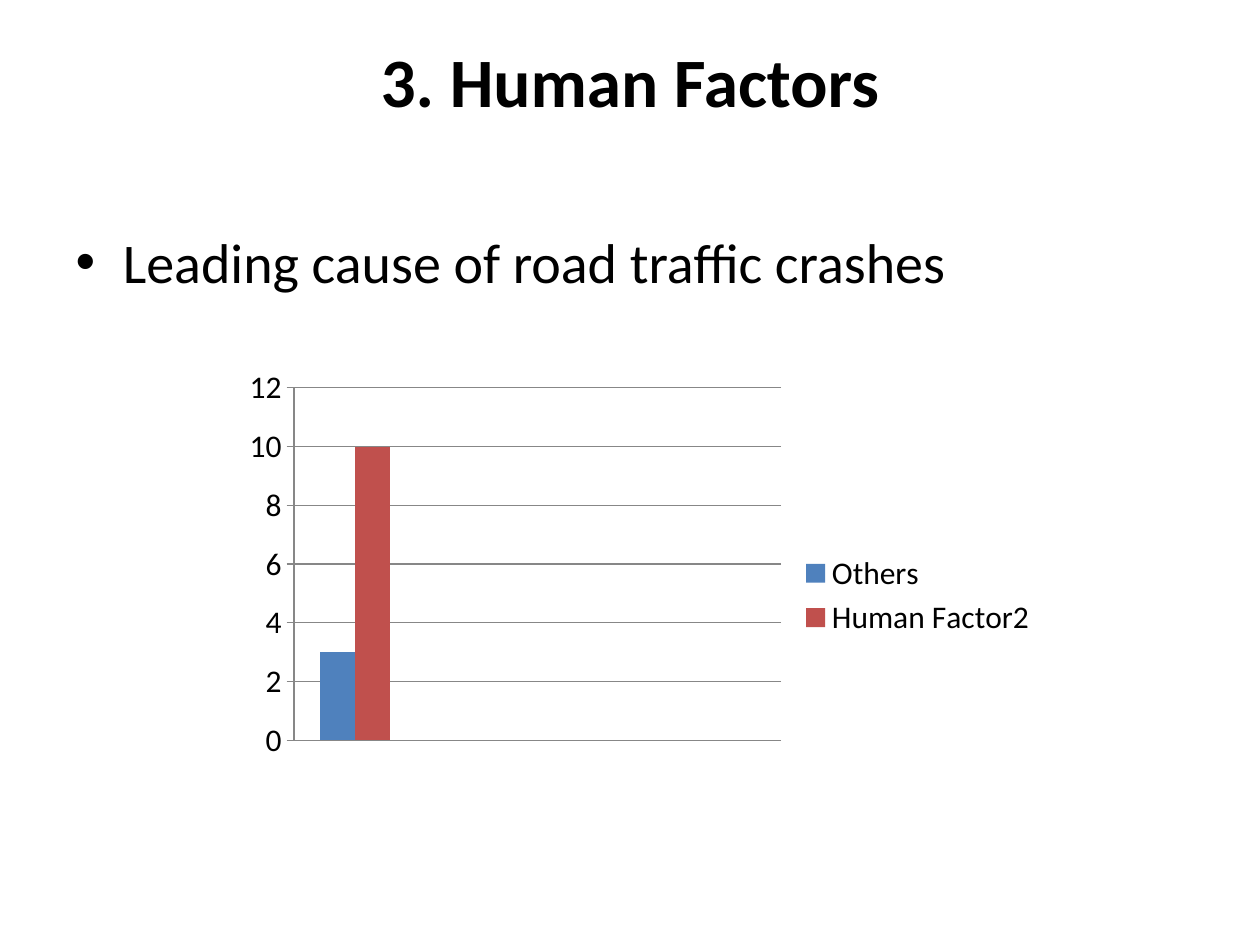
from lxml.etree import SubElement as Sub, QName
from pptx import Presentation
from pptx.chart.data import CategoryChartData as Data
from pptx.dml.color import RGBColor as RGB
from pptx.enum.chart import XL_CHART_TYPE as Kind, XL_LEGEND_POSITION as Side, XL_TICK_MARK as Tick
from pptx.enum.text import MSO_ANCHOR as Anchor, MSO_AUTO_SIZE as Fit, PP_ALIGN as Align
from pptx.oxml.ns import qn
from pptx.util import Emu, Pt

BLACK = RGB(0x00, 0x00, 0x00)
GRAY = RGB(0x87, 0x87, 0x87)
BLUE = RGB(0x4F, 0x81, 0xBD)
RED = RGB(0xC0, 0x50, 0x4D)
FONT = "Calibri"
SCALE = 914400 / 126


def px(num):
    return Emu(round(num * SCALE))


def style(font, size, bold=False):
    font.name = FONT
    font.size = Pt(size)
    font.bold = bold
    font.color.rgb = BLACK


def write(shape, text, size, bold=False, align=Align.LEFT, top=6):
    frame = shape.text_frame
    frame.auto_size = Fit.NONE
    frame.word_wrap = True
    frame.vertical_anchor = Anchor.TOP
    frame.margin_top = px(top)
    line = frame.paragraphs[0]
    line.alignment = align
    run = line.add_run()
    run.text = text
    style(run.font, size, bold)


def place(shape, box):
    shape.left, shape.top, shape.width, shape.height = map(px, box)


def add_title(slide, box):
    title = slide.shapes.title
    place(title, box)
    write(title, "3. Human Factors", size=39.6, bold=True, align=Align.CENTER, top=0)


def add_list(slide, box):
    body = slide.placeholders[1]
    place(body, box)
    write(body, "Leading cause of road traffic crashes", size=32)


def set_plot(chart, **parts):
    area = chart._chartSpace.chart.plotArea
    for old in area.findall(qn("c:layout")):
        area.remove(old)
    layout = Sub(area, QName(qn("c:layout")))
    area.insert(0, layout)
    manual = Sub(layout, qn("c:manualLayout"))
    modes = {"layoutTarget": "inner", "xMode": "edge", "yMode": "edge"}
    for name, val in {**modes, **parts}.items():
        Sub(manual, qn(f"c:{name}")).set("val", str(val))


def add_bars(slide, box):
    data = Data()
    data.categories = ["1", "", "", ""]
    data.add_series("Others", [3, None, None, None])
    data.add_series("Human Factor2", [10, None, None, None])
    chart = slide.shapes.add_chart(Kind.COLUMN_CLUSTERED, *map(px, box), data).chart
    style(chart.font, 18)
    chart.has_title = False
    chart.has_legend = True
    chart.legend.position = Side.RIGHT
    chart.legend.include_in_layout = False
    chart.category_axis.visible = False
    axis = chart.value_axis
    axis.minimum_scale, axis.maximum_scale, axis.major_unit = 0, 12, 2
    axis.major_tick_mark = Tick.CROSS
    axis.has_major_gridlines = True
    for line in (axis.format.line, axis.major_gridlines.format.line):
        line.color.rgb = GRAY
        line.width = Pt(0.75)
    plot = chart.plots[0]
    plot.gap_width = 150
    plot.overlap = 0
    plot.vary_by_categories = False
    for bar, color in zip(plot.series, (BLUE, RED)):
        bar.format.fill.solid()
        bar.format.fill.fore_color.rgb = color
    set_plot(chart, x=0.1, y=0.07, w=0.58, h=0.73)


def main():
    deck = Presentation()
    deck.slide_width, deck.slide_height = px(1260), px(945)
    slide = deck.slides.add_slide(deck.slide_layouts[1])
    add_title(slide, (63, 38, 1134, 157))
    add_list(slide, (63, 221, 1134, 624))
    add_bars(slide, (210, 354, 840, 483))
    deck.save("out.pptx")


if __name__ == "__main__":
    main()
